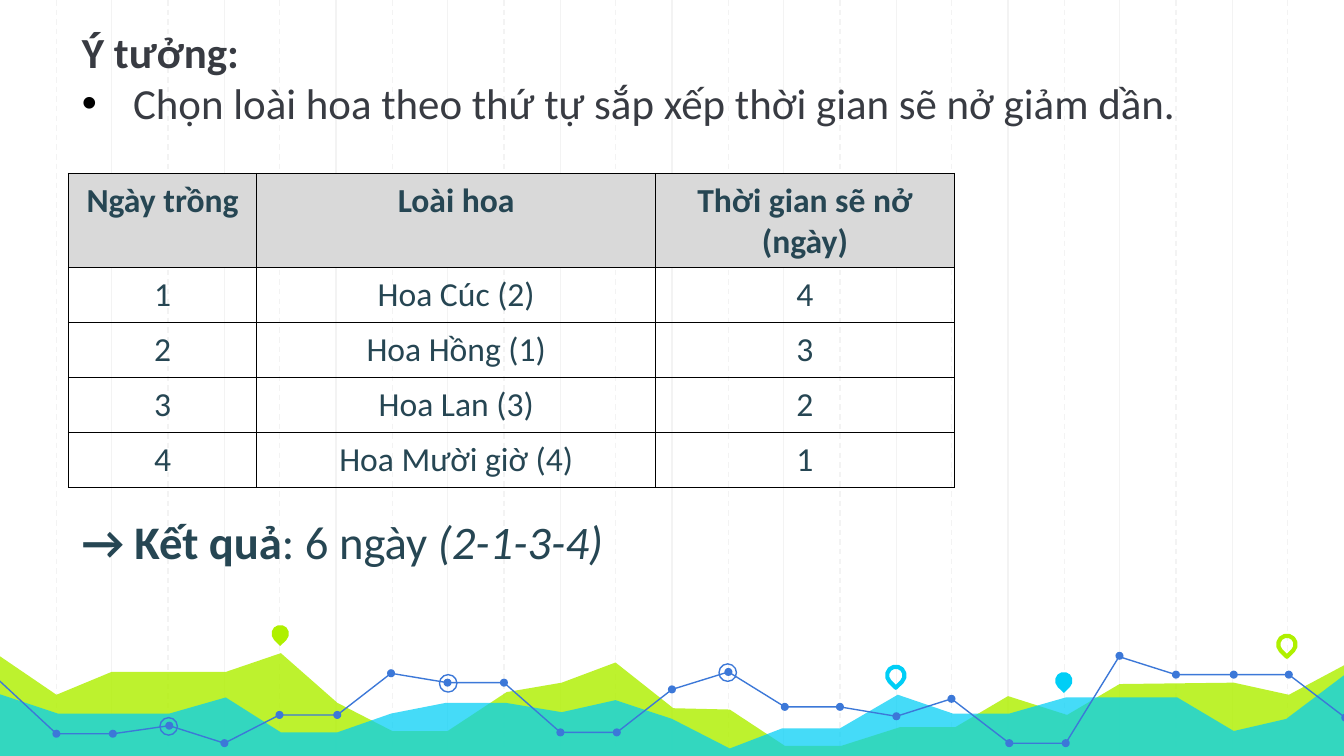
"""Build the flower planting slide: idea, ordering table and result."""
from lxml.etree import SubElement
from pptx import Presentation
from pptx.dml.color import RGBColor
from pptx.enum.dml import MSO_LINE_DASH_STYLE as Dash
from pptx.enum.shapes import MSO_CONNECTOR_TYPE as Connector, MSO_SHAPE as Shape
from pptx.enum.text import MSO_ANCHOR as Anchor, MSO_AUTO_SIZE as AutoSize, PP_ALIGN as Align
from pptx.oxml.ns import qn
from pptx.util import Pt

PX = 9144
WIDTH = 1000
GRID_HEIGHT = 565
COLORS = {
    "grid": "F3F3F3", "lime": "AFF000", "cyan": "00CEF6", "blue": "3C78D8",
    "heading": "383B42", "text": "264653", "header": "D9D9D9", "black": "000000",
}

LIME_AREA = [
    (-2, 487), (42, 517), (83, 500), (168, 500), (209, 486), (251, 523), (292, 544),
    (333, 544), (377, 515), (418, 508), (458, 493), (501, 527), (543, 528), (584, 555),
    (626, 555), (670, 541), (711, 541), (750, 518), (794, 532), (833, 509), (918, 508),
    (959, 517), (1002, 494), (1001, 564), (-3, 564),
]
CYAN_AREA = [
    (-2, 516), (43, 531), (126, 531), (168, 519), (209, 545), (251, 545), (291, 531),
    (332, 523), (376, 523), (418, 530), (458, 521), (500, 535), (543, 557), (582, 542),
    (625, 542), (668, 517), (709, 531), (751, 531), (793, 519), (876, 519), (918, 544),
    (957, 535), (1002, 501), (1002, 565), (-3, 565),
]
TRENDS = [
    [(-1, 506), (42, 546), (84, 546), (126, 540), (167, 553), (208, 532), (251, 532),
     (291, 501), (333, 508), (375, 508), (417, 545), (459, 545)],
    [(459, 545), (500, 513), (542, 500), (584, 526), (625, 526), (667, 533), (708, 520),
     (751, 553), (793, 553), (833, 488)],
    [(834, 489), (875, 502), (918, 502), (959, 502), (1001, 534)],
]
RINGS = [(333, 508), (125, 540), (541, 500)]
PINS = [
    (202, 465, "lime", True), (660, 496, "cyan", False),
    (785, 500, "cyan", True), (951, 473, "lime", False),
]
ROWS = [
    ("Ngày trồng", "Loài hoa", "Thời gian sẽ nở (ngày)"),
    ("1", "Hoa Cúc (2)", "4"),
    ("2", "Hoa Hồng (1)", "3"),
    ("3", "Hoa Lan (3)", "2"),
    ("4", "Hoa Mười giờ (4)", "1"),
]


def rgb(name):
    return RGBColor.from_string(COLORS[name])


def box(*lengths):
    return [length * PX for length in lengths]


class SlideBuilder:
    """Hold the style and the slide, and add each kind of element."""

    font_name = "Calibri"

    def __init__(self, slide):
        self.slide = slide
        self.shapes = slide.shapes

    def style_font(self, paragraph, size, color, bold=None):
        font = paragraph.font
        font.name, font.size, font.bold = self.font_name, Pt(size), bold
        font.color.rgb = rgb(color)

    def paint(self, shape, fill=None, line=None, weight=0.75):
        shape.shadow.inherit = False
        if fill:
            shape.fill.solid()
            shape.fill.fore_color.rgb = rgb(fill)
        else:
            shape.fill.background()
        if line:
            shape.line.color.rgb = rgb(line)
            shape.line.width = Pt(weight)
        else:
            shape.line.fill.background()

    def grid_line(self, x, dashed):
        line = self.shapes.add_connector(Connector.STRAIGHT, *box(x, 0, x, GRID_HEIGHT))
        line.line.color.rgb = rgb("grid")
        line.line.width = Pt(0.75)
        if dashed:
            line.line.dash_style = Dash.DASH
        SubElement(line.element.spPr, qn("a:effectLst"))

    def outline(self, points, closed):
        builder = self.shapes.build_freeform(*points[0], scale=PX)
        builder.add_line_segments(points[1:], close=closed)
        return builder.convert_to_shape()

    def area(self, points, color, opacity):
        shape = self.outline(points, True)
        self.paint(shape, fill=color)
        fill_color = shape.element.spPr.find(qn("a:solidFill")).find(qn("a:srgbClr"))
        SubElement(fill_color, qn("a:alpha"), val=str(opacity * 1000))

    def trend(self, points):
        self.paint(self.outline(points, False), line="blue")

    def circle(self, center, size, **colors):
        x, y = center
        corner = x - size // 2, y - size // 2
        self.paint(self.shapes.add_shape(Shape.OVAL, *box(*corner, size, size)), **colors)

    def pin(self, x, y, color, filled):
        shape = self.shapes.add_shape(Shape.TEAR, *box(x, y, 13, 13))
        shape.rotation = 135
        if filled:
            self.paint(shape, fill=color)
        else:
            self.paint(shape, line=color, weight=2.25)

    def idea(self, heading, point):
        body = self.slide.placeholders[1]
        body.element.getparent().append(body.element)
        body.left, body.top, body.width, body.height = box(51, 14, 969, 88)
        frame = body.text_frame
        frame.text = f"{heading}\n{point}"
        frame.auto_size = AutoSize.SHAPE_TO_FIT_TEXT
        frame.vertical_anchor = Anchor.TOP
        for paragraph, indent in zip(frame.paragraphs, (0, 38)):
            paragraph.space_before = Pt(0)
            properties = paragraph._p.get_or_add_pPr()
            properties.set("marL", str(indent * PX))
            properties.set("indent", str(-indent * PX))
            if indent:
                bullet_color = SubElement(properties, qn("a:buClr"))
                SubElement(bullet_color, qn("a:srgbClr"), val=COLORS["black"])
                SubElement(properties, qn("a:buFont"), typeface="Arial")
                SubElement(properties, qn("a:buChar"), char="•")
            else:
                SubElement(properties, qn("a:buNone"))
            self.style_font(paragraph, 23, "heading", bold=not indent)

    def table(self, rows, column_widths, row_height):
        size = sum(column_widths), row_height * len(rows)
        table = self.shapes.add_table(
            len(rows), len(column_widths), *box(51, 129, *size)).table
        table.first_row = table.horz_banding = False
        for column, width in zip(table.columns, column_widths):
            column.width = width * PX
        for row, texts in zip(table.rows, rows):
            row.height = row_height * PX
            for cell, text in zip(row.cells, texts):
                self.cell(cell, text, texts is rows[0])

    def cell(self, cell, text, is_header):
        properties = cell._tc.get_or_add_tcPr()
        for side in ("lnL", "lnR", "lnT", "lnB"):
            border = SubElement(properties, qn(f"a:{side}"), w=str(Pt(0.75)))
            fill = SubElement(border, qn("a:solidFill"))
            SubElement(fill, qn("a:srgbClr"), val=COLORS["black"])
        if is_header:
            cell.fill.solid()
            cell.fill.fore_color.rgb = rgb("header")
        else:
            cell.fill.background()
        cell.text = text
        paragraph = cell.text_frame.paragraphs[0]
        paragraph.alignment = Align.CENTER
        self.style_font(paragraph, 18, "text", bold=is_header)

    def result(self, *parts):
        frame = self.shapes.add_textbox(*box(51, 377, 421, 52)).text_frame
        frame.word_wrap = True
        frame.auto_size = AutoSize.SHAPE_TO_FIT_TEXT
        paragraph = frame.paragraphs[0]
        self.style_font(paragraph, 25, "text")
        for text, bold, italic in parts:
            run = paragraph.add_run()
            run.text = text
            run.font.bold, run.font.italic = bold, italic


def main():
    presentation = Presentation()
    presentation.slide_width = WIDTH * PX
    presentation.slide_height = WIDTH * PX * 9 // 16
    slide = presentation.slides.add_slide(presentation.slide_layouts[1])
    title = slide.shapes.title.element
    title.getparent().remove(title)
    builder = SlideBuilder(slide)

    for step in (*range(2, 24, 2), *range(1, 24, 2)):
        builder.grid_line(round(step * WIDTH / 24), dashed=step % 2 == 1)
    builder.area(LIME_AREA, "lime", 82)
    builder.area(CYAN_AREA, "cyan", 73)
    for points in TRENDS:
        builder.trend(points)
        for point in points[1:]:
            builder.circle(point, 6, fill="blue")
    for center in RINGS:
        builder.circle(center, 13, line="blue")
    for pin in PINS:
        builder.pin(*pin)

    builder.idea("Ý tưởng:", "Chọn loài hoa theo thứ tự sắp xếp thời gian sẽ nở giảm dần.")
    builder.table(ROWS, (140, 297, 222), 41)
    builder.result(("→ Kết quả", True, False), (": 6 ngày ", False, False),
                   ("(2-1-3-4)", False, True))
    presentation.save("out.pptx")


if __name__ == "__main__":
    main()
